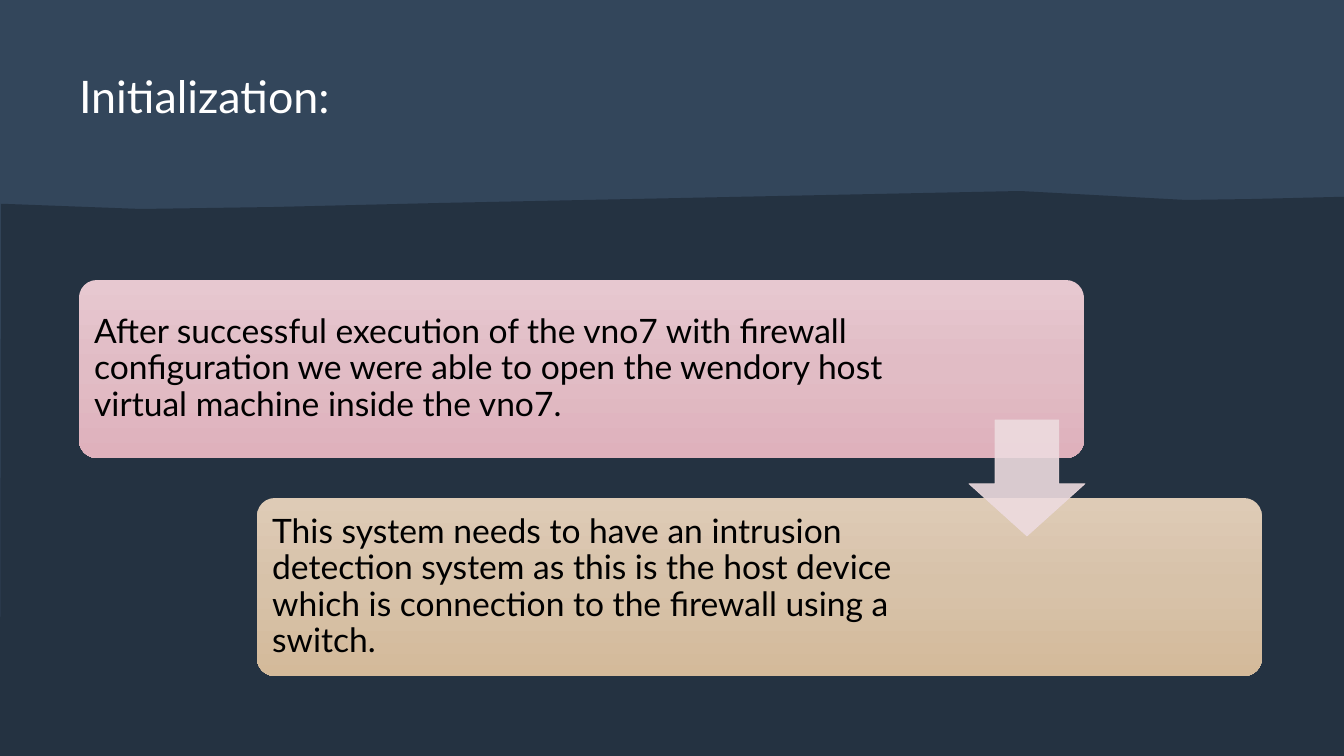
from copy import deepcopy
from dataclasses import dataclass

from pptx import Presentation
from pptx.dml.color import RGBColor as RGB
from pptx.enum.shapes import MSO_SHAPE as SHAPE
from pptx.enum.text import MSO_ANCHOR as ANCHOR, PP_ALIGN as ALIGN
from pptx.oxml.ns import qn
from pptx.oxml.xmlchemy import OxmlElement as Node
from pptx.util import Pt

SCALE = 12192000 / 1344
WIDE, HIGH = 1344, 756


@dataclass(frozen=True)
class Theme:
    """Colours, font and type sizes of the slide."""
    font: str = "Lato"
    dark: str = "243241"
    band: str = "33465B"
    white: str = "FFFFFF"
    black: str = "000000"
    arrow: str = "EDDBDF"
    rose: tuple = ("E7C8D0", "E1BCC5", "DFB1BC")
    sand: tuple = ("DECBB6", "D7C2A9", "D4BA9A")
    head: int = 32
    body: int = 24


THEME = Theme()
STEPS = (
    (79, 280, THEME.rose, 183,
     "After successful execution of the vno7 with firewall configuration "
     "we were able to open the wendory host virtual machine inside the vno7."),
    (257, 498, THEME.sand, 303,
     "This system needs to have an intrusion detection system as this is "
     "the host device which is connection to the firewall using a switch."),
)
EDGE = ((1020, 191), (1186, 200), (1253, 199), (1334, 197), (WIDE, 197),
        (WIDE, HIGH), (0, HIGH), (1, 204), (8, 204), (141, 209),
        (274, 207), (357, 205), (439, 203))


def px(num):
    """Turn px into EMU."""
    return round(num * SCALE)


def paint(shape, color):
    """Give a shape a flat fill with no line or shadow."""
    shape.shadow.inherit = False
    shape.fill.solid()
    shape.fill.fore_color.rgb = RGB.from_string(color)
    shape.line.fill.background()


def blend(shape, colors):
    """Fill a shape with an even gradient from top to bottom."""
    shape.fill.gradient()
    shape.fill.gradient_angle = 270
    stops = shape._element.spPr.find(qn("a:gradFill")).find(qn("a:gsLst"))
    stops.insert(1, deepcopy(stops[0]))
    for i, (stop, color) in enumerate(zip(shape.fill.gradient_stops, colors)):
        stop.position = i / (len(colors) - 1)
        stop.color.rgb = RGB.from_string(color)


def fade(fill, part):
    """Make a solid fill partly clear."""
    alpha = Node("a:alpha")
    alpha.set("val", str(part * 1000))
    fill._xPr.find(qn("a:solidFill"))[0].append(alpha)


def write(shape, text, size, color, anchor, inset, spacing):
    """Set the text, its margins, its line spacing and its font."""
    frame = shape.text_frame
    frame.text = text
    frame.word_wrap = True
    frame.vertical_anchor = anchor
    (frame.margin_left, frame.margin_top,
     frame.margin_right, frame.margin_bottom) = map(px, inset)
    para = frame.paragraphs[0]
    para.alignment = ALIGN.LEFT
    para.line_spacing = spacing
    para.font.name = THEME.font
    para.font.size = Pt(size)
    para.font.color.rgb = RGB.from_string(color)


def add_box(slide, kind, x, y, w, h, color):
    """Add a flat preset shape."""
    shape = slide.shapes.add_shape(kind, px(x), px(y), px(w), px(h))
    paint(shape, color)
    return shape


def add_ground(slide):
    """Add the header band and the dark ground with its uneven edge."""
    add_box(slide, SHAPE.RECTANGLE, 0, 0, WIDE, HIGH, THEME.band)
    form = slide.shapes.build_freeform(*EDGE[0], scale=SCALE)
    form.add_line_segments(EDGE[1:], close=True)
    paint(form.convert_to_shape(), THEME.dark)


def add_title(slide, text):
    """Place the title in front of the ground."""
    title = slide.shapes.title
    title.left, title.top = px(79), px(69)
    title.width, title.height = px(1182), px(76)
    write(title, text, THEME.head, THEME.white, ANCHOR.TOP, (0, 0, 0, 0), 1.0)
    slide.shapes._spTree.append(title._element)


def add_step(slide, x, y, colors, right, text):
    """Add one rounded step with its text."""
    card = add_box(slide, SHAPE.ROUNDED_RECTANGLE, x, y, 1005, 178, colors[0])
    card.adjustments[0] = 0.1
    blend(card, colors)
    write(card, text, THEME.body, THEME.black, ANCHOR.MIDDLE,
          (10, 10, right, 10), 0.9)


def add_arrow(slide):
    """Add the pale arrow between the steps."""
    arrow = add_box(slide, SHAPE.DOWN_ARROW, 969, 420, 116, 116, THEME.arrow)
    arrow.adjustments[0], arrow.adjustments[1] = 0.55, 0.45
    fade(arrow.fill, 90)
    arrow.line.color.rgb = RGB.from_string(THEME.arrow)
    arrow.line.width = Pt(0.5)
    fade(arrow.line.fill, 90)


def main():
    """Build and save the slide."""
    deck = Presentation()
    deck.slide_width, deck.slide_height = px(WIDE), px(HIGH)
    slide = deck.slides.add_slide(deck.slide_layouts[5])
    slide.background.fill.solid()
    slide.background.fill.fore_color.rgb = RGB.from_string(THEME.dark)
    add_ground(slide)
    add_title(slide, "Initialization:")
    for step in STEPS:
        add_step(slide, *step)
    add_arrow(slide)
    deck.save("out.pptx")


if __name__ == "__main__":
    main()
